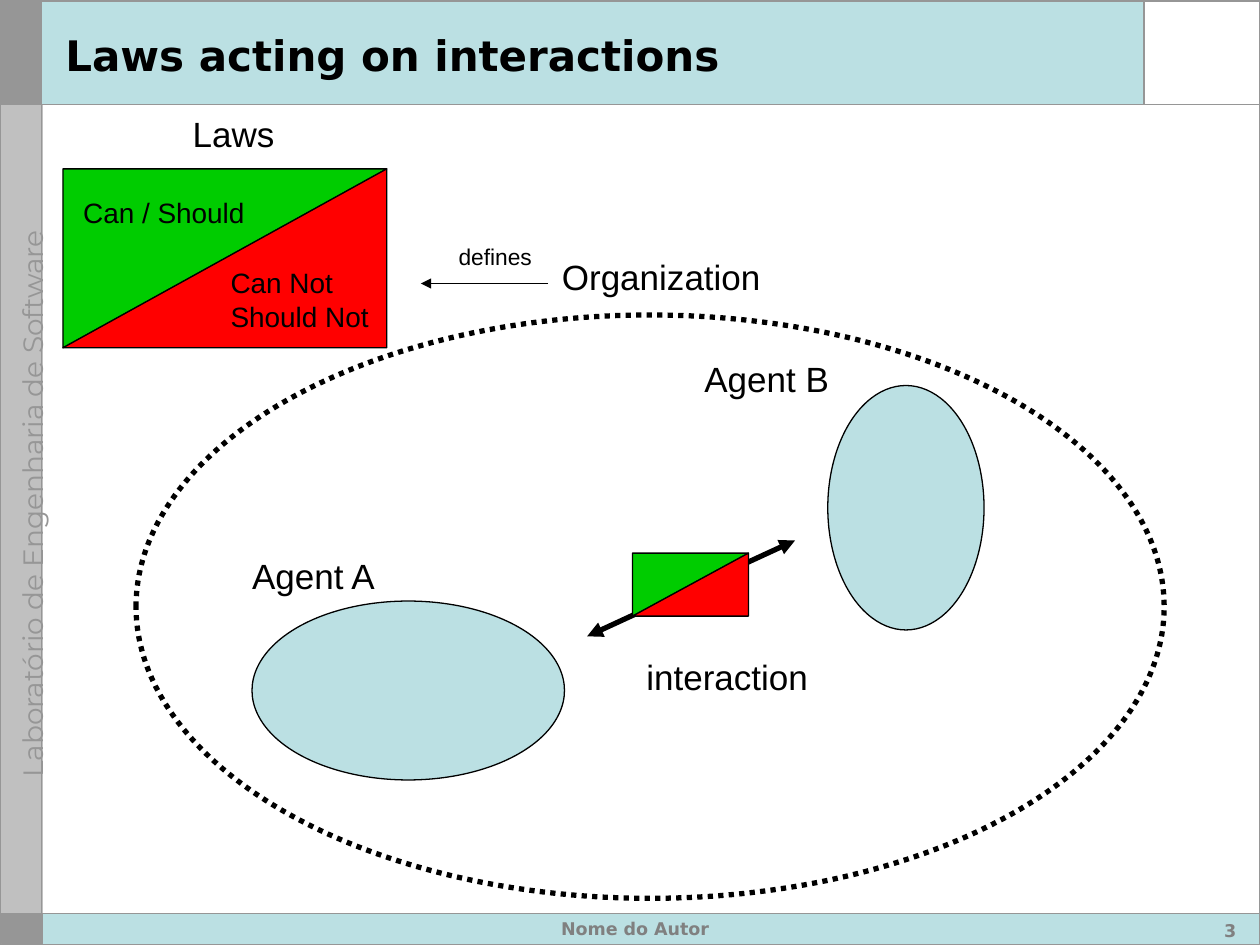
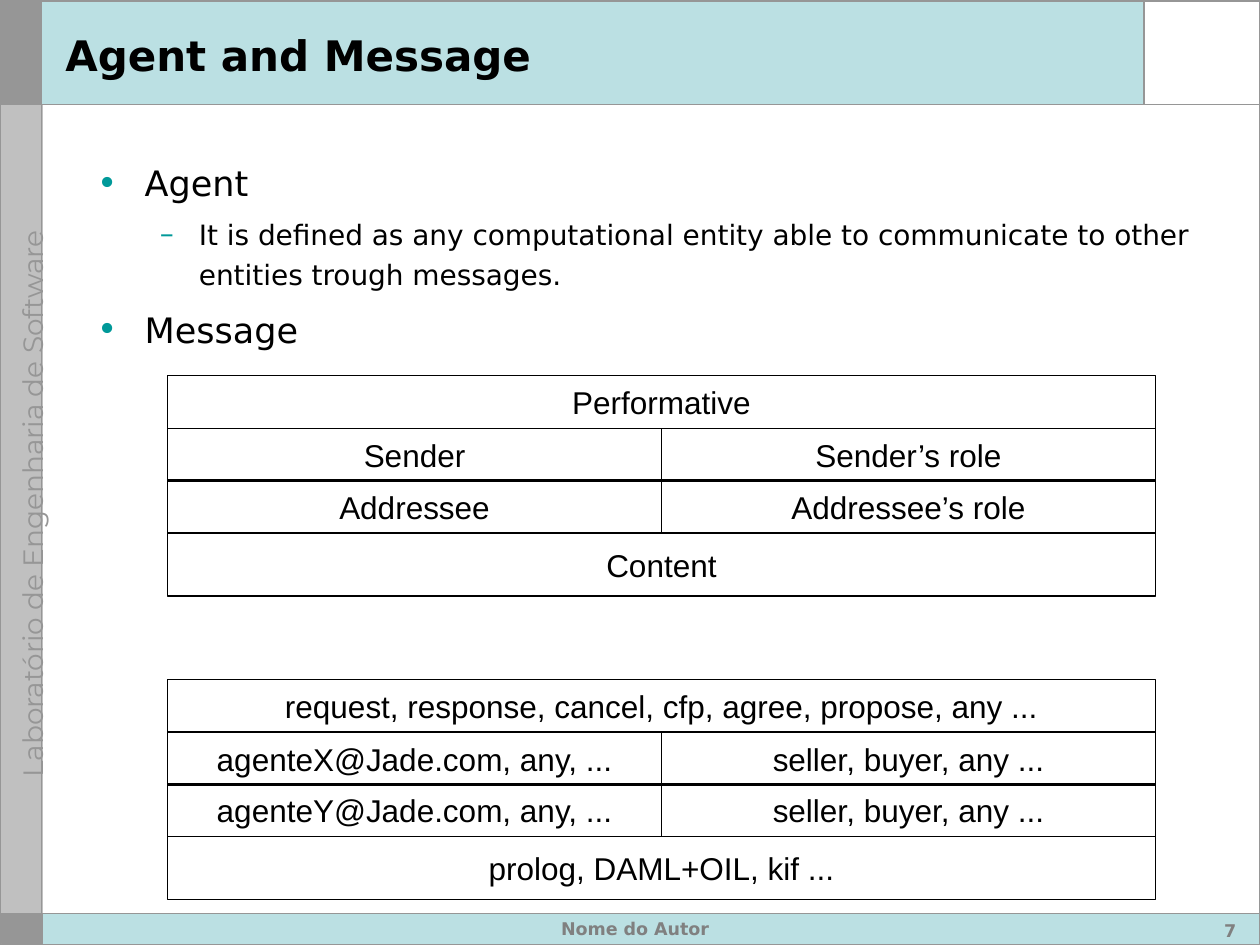
from dataclasses import dataclass, field
from typing import Any, NamedTuple

from lxml.etree import SubElement
from pptx import Presentation
from pptx.dml.color import RGBColor
from pptx.enum.dml import MSO_LINE
from pptx.enum.shapes import MSO_CONNECTOR, MSO_SHAPE
from pptx.enum.text import MSO_ANCHOR, MSO_AUTO_SIZE, PP_ALIGN
from pptx.oxml.ns import qn
from pptx.util import Pt

PX = 9144
SLIDE_WIDTH, SLIDE_HEIGHT = 1000, 750

COLORS = {
    "black": "000000",
    "white": "FFFFFF",
    "band": "BBE0E3",
    "rule": "969696",
    "sidebar": "C0C0C0",
    "footer": "808080",
    "bullet": "009999",
    "allowed": "00CC00",
    "forbidden": "FF0000",
}


class Box(NamedTuple):
    left: int
    top: int
    width: int
    height: int


class Outline(NamedTuple):
    color: str = "black"
    width: float = 0.75
    dash: Any = None


class Area(NamedTuple):
    box: Box
    fill: str | None = None
    outline: Outline | None = None
    preset: Any = MSO_SHAPE.RECTANGLE
    rotation: int = 0


class Rule(NamedTuple):
    start: tuple[int, int]
    end: tuple[int, int]
    outline: Outline
    ends: tuple[str, ...] = ()


@dataclass(frozen=True)
class TextStyle:
    size: int
    font: str = "Arial"
    color: str = "black"
    bold: bool = False
    align: Any = PP_ALIGN.LEFT
    inset: tuple[int, int] = (10, 5)
    frame: dict[str, Any] = field(default_factory=lambda: {"word_wrap": True})


class Label(NamedTuple):
    text: str
    box: Box
    style: TextStyle


class BulletLevel(NamedTuple):
    mark: str
    margin: int
    hanging: int
    size: int
    space_before: int


class BulletItem(NamedTuple):
    text: str
    level: int


SANS = "DejaVu Sans"
GROWING = {"word_wrap": False, "auto_size": MSO_AUTO_SIZE.SHAPE_TO_FIT_TEXT}
TITLE = TextStyle(24, SANS, bold=True,
                  frame={"word_wrap": True, "vertical_anchor": MSO_ANCHOR.MIDDLE})
AUTHOR = TextStyle(10, SANS, "footer", True, PP_ALIGN.CENTER)
NUMBER = TextStyle(10, SANS, "footer", True, PP_ALIGN.RIGHT)
LAB_NAME = TextStyle(16, "Montserrat", "rule", align=PP_ALIGN.CENTER,
                     frame={"word_wrap": False})
BODY = TextStyle(20, SANS)
CELL = TextStyle(18, align=PP_ALIGN.CENTER,
                 frame={"word_wrap": False, "vertical_anchor": MSO_ANCHOR.MIDDLE})
LARGE, MEDIUM, SMALL = (TextStyle(size, inset=(11, 6), frame=GROWING)
                        for size in (20, 16, 13))

THIN = Outline()
RULE = Outline("rule", 1)

BACKDROP = [
    Area(Box(1, 1, 33, 83), "rule", Outline("rule")),
    Area(Box(33, 0, 967, 83), "band"),
    Area(Box(1, 83, 33, 642), "sidebar", Outline("sidebar")),
    Area(Box(908, 0, 92, 83), "white"),
    Area(Box(33, 725, 967, 25), "band"),
    Area(Box(1, 725, 33, 24), "rule", Outline("rule")),
    Area(Box(0, 1, 1000, 749), None, RULE),
]
BACKDROP_RULES = [
    Rule((908, 0), (908, 83), RULE),
    Rule((0, 83), (1000, 83), RULE),
    Rule((33, 0), (33, 750), RULE),
    Rule((0, 725), (1000, 725), RULE),
]

AGENTS = [
    Area(Box(200, 477, 248, 142), "band", THIN, MSO_SHAPE.OVAL),
    Area(Box(622, 341, 194, 124), "band", THIN, MSO_SHAPE.OVAL, 90),
]
ORGANIZATION = Area(Box(108, 250, 816, 463), None,
                    Outline("black", 3, MSO_LINE.ROUND_DOT), MSO_SHAPE.OVAL)
INTERACTION = Rule((466, 505), (631, 429), Outline("black", 3), ("headEnd", "tailEnd"))
DEFINES = Rule((435, 225), (334, 225), THIN, ("tailEnd",))
LAW_BOXES = [Box(50, 134, 257, 142), Box(502, 439, 92, 50)]
LAW_LABELS = [
    Label("Agent A", Box(189, 434, 121, 44), LARGE),
    Label("Agent B", Box(548, 278, 121, 44), LARGE),
    Label("Can / Should", Box(55, 149, 151, 38), MEDIUM),
    Label("Can Not\nShould Not", Box(172, 205, 132, 64), MEDIUM),
    Label("Laws", Box(142, 83, 87, 44), LARGE),
    Label("interaction", Box(502, 514, 151, 44), LARGE),
    Label("Organization", Box(435, 197, 180, 44), LARGE),
    Label("defines", Box(353, 187, 80, 33), SMALL),
]

BULLET_LEVELS = [BulletLevel("•", 38, 38, 20, 5), BulletLevel("–", 81, 31, 16, 4)]
BULLET_ITEMS = [
    BulletItem("Agent", 0),
    BulletItem("It is defined as any computational entity able to communicate "
               "to other entities trough messages.", 1),
    BulletItem("Message", 0),
]
GRID_LEFT, GRID_WIDTH = 133, 784
GRID_ROWS = [(0, 42), (42, 42), (83, 42), (125, 50)]
MESSAGE_GRIDS = {
    298: [
        ["Performative"],
        ["Sender", "Sender’s role"],
        ["Addressee", "Addressee’s role"],
        ["Content"],
    ],
    539: [
        ["request, response, cancel, cfp, agree, propose, any ..."],
        ["agenteX@Jade.com, any, ...", "seller, buyer, any ..."],
        ["agenteY@Jade.com, any, ...", "seller, buyer, any ..."],
        ["prolog, DAML+OIL, kif ..."],
    ],
}


def apply_format(target: Any, values: dict[str, Any]) -> None:
    for name, value in values.items():
        setattr(target, name, value)


def scaled(*lengths: int) -> list[int]:
    return [length * PX for length in lengths]


def rgb(name: str) -> RGBColor:
    return RGBColor.from_string(COLORS[name])


def draw_outline(line: Any, outline: Outline | None) -> None:
    if outline is None:
        line.fill.background()
        return
    line.color.rgb = rgb(outline.color)
    line.width = Pt(outline.width)
    if outline.dash is not None:
        line.dash_style = outline.dash


def paint(shape: Any, fill: str | None, outline: Outline | None) -> None:
    shape.shadow.inherit = False
    if fill is None:
        shape.fill.background()
    else:
        shape.fill.solid()
        shape.fill.fore_color.rgb = rgb(fill)
    draw_outline(shape.line, outline)


def add_area(slide: Any, area: Area) -> Any:
    shape = slide.shapes.add_shape(area.preset, *scaled(*area.box))
    shape.rotation = area.rotation
    paint(shape, area.fill, area.outline)
    return shape


def add_rule(slide: Any, rule: Rule) -> None:
    connector = slide.shapes.add_connector(
        MSO_CONNECTOR.STRAIGHT, *scaled(*rule.start, *rule.end))
    draw_outline(connector.line, rule.outline)
    properties = connector._element.spPr
    for end in rule.ends:
        SubElement(properties.find(qn("a:ln")), qn(f"a:{end}"), type="triangle")
    SubElement(properties, qn("a:effectLst"))


def format_font(paragraph: Any, style: TextStyle, size: int) -> None:
    apply_format(paragraph.font, {"name": style.font, "size": Pt(size), "bold": style.bold})
    paragraph.font.color.rgb = rgb(style.color)


def prepare_frame(frame: Any, style: TextStyle) -> None:
    side, edge = scaled(*style.inset)
    apply_format(frame, {"margin_left": side, "margin_right": side,
                         "margin_top": edge, "margin_bottom": edge} | style.frame)


def write_text(shape: Any, text: str, style: TextStyle) -> None:
    frame = shape.text_frame
    frame.text = text
    prepare_frame(frame, style)
    for paragraph in frame.paragraphs:
        paragraph.alignment = style.align
        format_font(paragraph, style, style.size)


def add_label(slide: Any, label: Label) -> Any:
    shape = slide.shapes.add_textbox(*scaled(*label.box))
    write_text(shape, label.text, label.style)
    return shape


def add_law_box(slide: Any, box: Box) -> None:
    left, top = box.left, box.top
    right, bottom = left + box.width, top + box.height
    for fill, corner in (("allowed", (left, top)), ("forbidden", (right, bottom))):
        builder = slide.shapes.build_freeform(*corner, scale=PX)
        builder.add_line_segments([(left, bottom), (right, top)], close=True)
        paint(builder.convert_to_shape(), fill, THIN)


def add_bullets(slide: Any, box: Box, items: list[BulletItem]) -> None:
    frame = slide.shapes.add_textbox(*scaled(*box)).text_frame
    prepare_frame(frame, BODY)
    for index, item in enumerate(items):
        level = BULLET_LEVELS[item.level]
        paragraph = frame.add_paragraph() if index else frame.paragraphs[0]
        apply_format(paragraph, {"level": item.level, "line_spacing": 1.2,
                                 "space_before": Pt(level.space_before if index else 0)})
        properties = paragraph._p.get_or_add_pPr()
        properties.set("marL", str(level.margin * PX))
        properties.set("indent", str(-level.hanging * PX))
        color = SubElement(properties, qn("a:buClr"))
        SubElement(color, qn("a:srgbClr"), val=COLORS["bullet"])
        SubElement(properties, qn("a:buFont"), typeface=SANS)
        SubElement(properties, qn("a:buChar"), char=level.mark)
        paragraph.text = item.text
        format_font(paragraph, BODY, level.size)


def add_message_grid(slide: Any, top: int, rows: list[list[str]]) -> None:
    for (offset, height), texts in zip(GRID_ROWS, rows):
        width = GRID_WIDTH // len(texts)
        for column, text in enumerate(texts):
            box = Box(GRID_LEFT + column * width, top + offset, width, height)
            write_text(add_area(slide, Area(box, None, THIN)), text, CELL)


def add_slide(presentation: Any, title: str, number: int) -> Any:
    slide = presentation.slides.add_slide(presentation.slide_layouts[6])
    for area in BACKDROP:
        add_area(slide, area)
    for rule in BACKDROP_RULES:
        add_rule(slide, rule)
    lab_name = Label("Laboratório de Engenharia de Software", Box(-219, 391, 470, 18), LAB_NAME)
    add_label(slide, lab_name).rotation = 270
    add_label(slide, Label(title, Box(42, 12, 858, 62), TITLE))
    add_label(slide, Label("Nome do Autor", Box(183, 724, 642, 25), AUTHOR))
    add_label(slide, Label(str(number), Box(908, 725, 83, 25), NUMBER))
    return slide


def build_laws_slide(presentation: Any) -> None:
    slide = add_slide(presentation, "Laws acting on interactions", 3)
    for agent in AGENTS:
        add_area(slide, agent)
    add_rule(slide, INTERACTION)
    for box in LAW_BOXES:
        add_law_box(slide, box)
    add_area(slide, ORGANIZATION)
    add_rule(slide, DEFINES)
    for label in LAW_LABELS:
        add_label(slide, label)


def build_message_slide(presentation: Any) -> None:
    slide = add_slide(presentation, "Agent and Message", 7)
    add_bullets(slide, Box(67, 117, 908, 584), BULLET_ITEMS)
    for top, rows in MESSAGE_GRIDS.items():
        add_message_grid(slide, top, rows)


def main() -> None:
    presentation = Presentation()
    apply_format(presentation, {"slide_width": SLIDE_WIDTH * PX,
                                "slide_height": SLIDE_HEIGHT * PX})
    build_laws_slide(presentation)
    build_message_slide(presentation)
    presentation.save("out.pptx")


if __name__ == "__main__":
    main()
